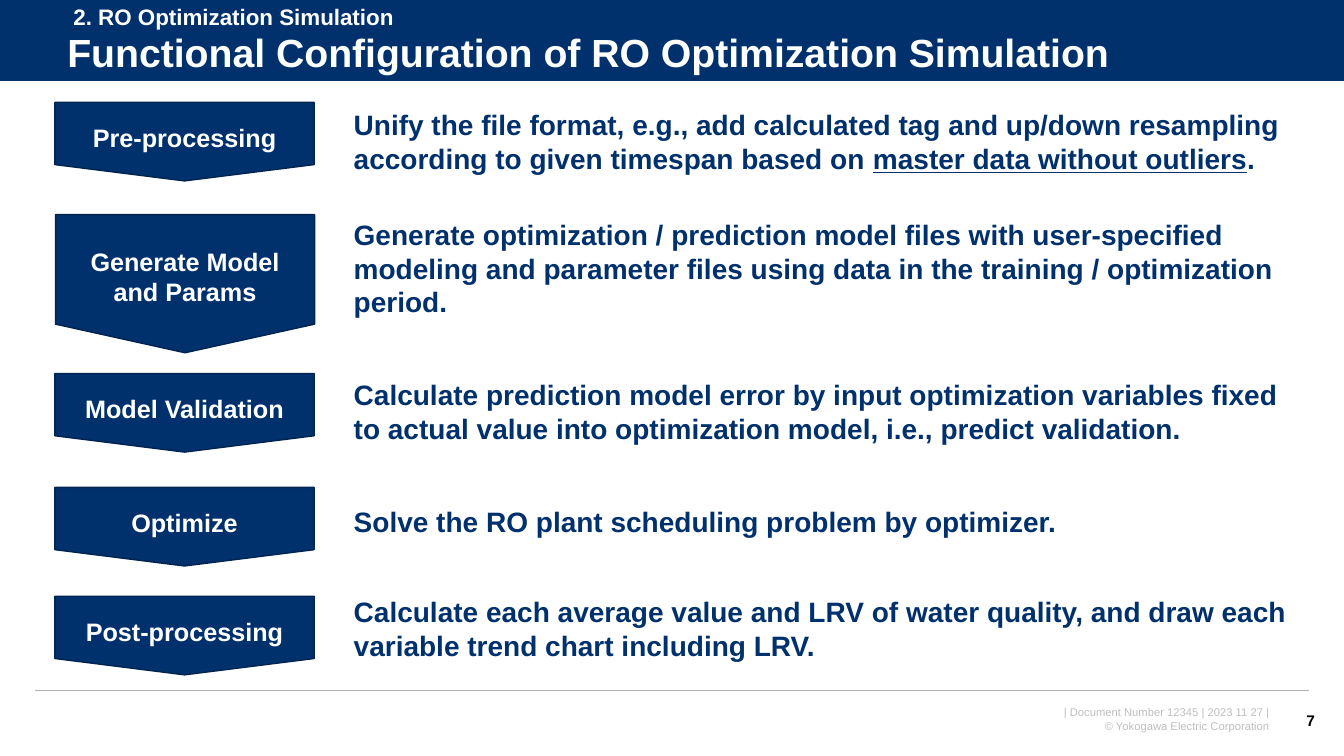
from pptx import Presentation
from pptx.dml.color import RGBColor
from pptx.enum.shapes import MSO_CONNECTOR, MSO_SHAPE
from pptx.enum.text import MSO_ANCHOR, MSO_AUTO_SIZE, PP_ALIGN
from pptx.oxml.ns import qn
from pptx.util import Pt
from lxml.etree import SubElement

NAVY = "00316C"
NAVY_EDGE = "002450"
WHITE = "FFFFFF"
BLACK = "000000"
RULE_GREY = "B2B2B2"
FOOTER_GREY = "BFBFBF"
WIDTH, HEIGHT = 1333, 750
STEP_LENGTH, STEP_CENTRE = 257, 183


def px(length):
    """Turn hundredths of an inch into EMU."""
    return length * 9144


def colour(code):
    """Turn a hex string into a colour."""
    return RGBColor.from_string(code)


class FlowSlide:
    """Holds the text style and the slide being drawn."""

    font = "Arial"

    def __init__(self, page):
        """Keep the slide to draw on."""
        self.page = page

    def add_runs(self, frame, paragraphs, size, code, bold=True, align=PP_ALIGN.LEFT, spacing=None):
        """Fill a frame with paragraphs, each a list of (text, underline) runs."""
        for index, spans in enumerate(paragraphs):
            para = frame.add_paragraph() if index else frame.paragraphs[0]
            para.alignment = align
            para.line_spacing = spacing
            for text, underline in spans:
                span = para.add_run()
                span.text = text
                span.font.name = self.font
                span.font.size = Pt(size)
                span.font.bold = bold
                span.font.underline = underline
                span.font.color.rgb = colour(code)

    def text(self, area, paragraphs, size, code, anchor=MSO_ANCHOR.TOP, wrap=True, **style):
        """Add a text box."""
        frame = self.page.shapes.add_textbox(*map(px, area)).text_frame
        frame.word_wrap = wrap
        frame.auto_size = MSO_AUTO_SIZE.NONE
        frame.vertical_anchor = anchor
        self.add_runs(frame, paragraphs, size, code, **style)

    def shape(self, kind, area, fill, edge=None):
        """Add a filled shape, outlined when an edge colour is given."""
        box = self.page.shapes.add_shape(kind, *map(px, area))
        box.shadow.inherit = False
        box.fill.solid()
        box.fill.fore_color.rgb = colour(fill)
        if edge:
            box.line.color.rgb = colour(edge)
            box.line.width = Pt(1)
        else:
            box.line.fill.background()
        return box

    def rule(self, left, right, top, code, width):
        """Add a horizontal line."""
        line = self.page.shapes.add_connector(
            MSO_CONNECTOR.STRAIGHT, px(left), px(top), px(right), px(top))
        line.line.color.rgb = colour(code)
        line.line.width = Pt(width)
        SubElement(line.element.spPr, qn("a:effectLst"))

    def step(self, middle, depth, label):
        """Add a downward pentagon with an upright label."""
        area = (STEP_CENTRE - depth // 2, middle - STEP_LENGTH // 2, depth, STEP_LENGTH)
        box = self.shape(MSO_SHAPE.PENTAGON, area, NAVY, NAVY_EDGE)
        box.rotation = 90
        box.adjustments[0] = 0.207
        frame = box.text_frame
        frame.word_wrap = True
        frame.vertical_anchor = MSO_ANCHOR.MIDDLE
        box.element.txBody.bodyPr.set("vert", "vert270")
        self.add_runs(frame, [[(label, False)]], 18, WHITE, align=PP_ALIGN.CENTER)

    def description(self, top, lines, spans):
        """Add the explanation beside a step."""
        self.text((341, top, 963, 11 + lines * 100 // 3), [spans], 20, NAVY)


STEPS = [
    (140, 78, "Pre-processing", 102, 2, [
        ("Unify the file format, e.g., add calculated tag and up/down resampling "
         "according to given timespan based on ", False),
        ("master data without outliers", True),
        (".", False)]),
    (281, 137, "Generate Model and Params", 211, 3, [
        ("Generate optimization / prediction model files with user-specified modeling "
         "and parameter files using data in the training / optimization period.", False)]),
    (409, 78, "Model Validation", 370, 2, [
        ("Calculate prediction model error by input optimization variables fixed to "
         "actual value into optimization model, i.e., predict validation.", False)]),
    (522, 78, "Optimize", 496, 1, [
        ("Solve the RO plant scheduling problem by optimizer.", False)]),
    (630, 78, "Post-processing", 585, 2, [
        ("Calculate each average value and LRV of water quality, and draw each "
         "variable trend chart including LRV.", False)]),
]


def main():
    """Build and save the slide."""
    deck = Presentation()
    deck.slide_width, deck.slide_height = px(WIDTH), px(HEIGHT)
    slide = FlowSlide(deck.slides.add_slide(deck.slide_layouts[6]))

    slide.text((948, 695, 321, 37),
               [[("| Document Number 12345 | 2023 11 27 |", False)],
                [("© Yokogawa Electric Corporation", False)]],
               8, FOOTER_GREY, bold=False, align=PP_ALIGN.RIGHT)
    slide.shape(MSO_SHAPE.RECTANGLE, (0, 0, WIDTH, 81), NAVY)
    slide.rule(0, WIDTH, 81, WHITE, 0.75)
    slide.rule(35, 1298, 685, RULE_GREY, 1)
    slide.text((57, 26, 1247, 57),
               [[("Functional Configuration of RO Optimization Simulation", False)]],
               28, WHITE, anchor=MSO_ANCHOR.MIDDLE, spacing=0.9)
    slide.text((1270, 695, 44, 40), [[("7", False)]], 11, BLACK,
               anchor=MSO_ANCHOR.MIDDLE, wrap=False, align=PP_ALIGN.RIGHT)
    slide.text((63, -2, 721, 37), [[("2. RO Optimization Simulation", False)]], 16, WHITE)

    for middle, depth, label, top, lines, spans in STEPS:
        slide.step(middle, depth, label)
        slide.description(top, lines, spans)

    deck.save("out.pptx")


if __name__ == "__main__":
    main()
